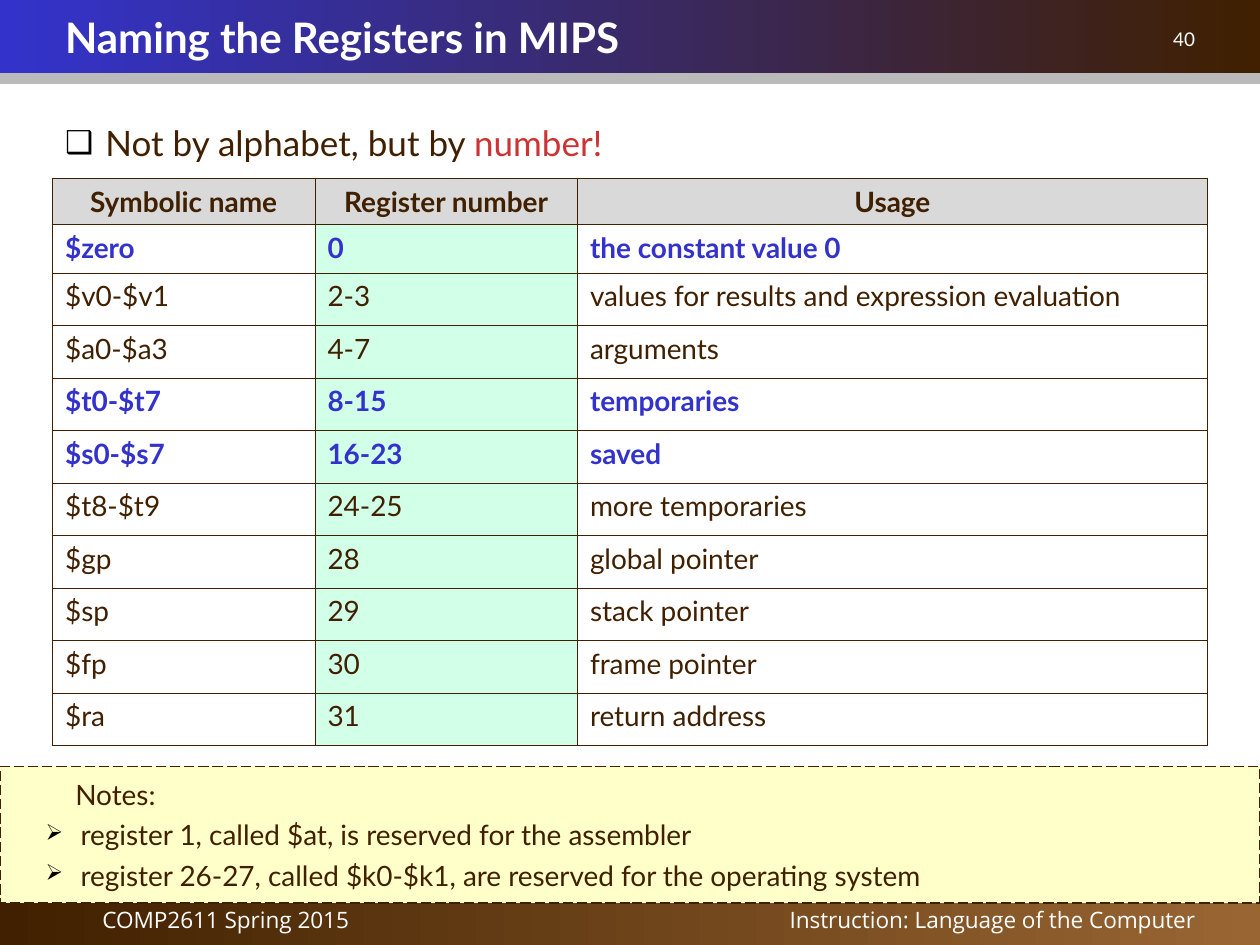
from lxml import etree
from pptx import Presentation
from pptx.dml.color import RGBColor
from pptx.enum.dml import MSO_LINE
from pptx.enum.shapes import MSO_SHAPE
from pptx.enum.text import MSO_ANCHOR, MSO_AUTO_SIZE, PP_ALIGN
from pptx.oxml.ns import qn
from pptx.util import Pt

LEFT, CENTER, RIGHT = PP_ALIGN.LEFT, PP_ALIGN.CENTER, PP_ALIGN.RIGHT
TOP, MIDDLE = MSO_ANCHOR.TOP, MSO_ANCHOR.MIDDLE
RECTANGLE = MSO_SHAPE.RECTANGLE
LONG_DASH = MSO_LINE.LONG_DASH

BROWN = RGBColor(0x40, 0x20, 0x00)
TAN = RGBColor(0x99, 0x66, 0x33)
BLUE = RGBColor(0x33, 0x33, 0xCC)
RED = RGBColor(0xCD, 0x33, 0x33)
WHITE = RGBColor(0xFF, 0xFF, 0xFF)
BLACK = RGBColor(0x00, 0x00, 0x00)
GRAY = RGBColor(0xD9, 0xD9, 0xD9)
SHADOW_GRAY = RGBColor(0x77, 0x77, 0x77)
MINT = RGBColor(0xD1, 0xFF, 0xE8)
YELLOW = RGBColor(0xFF, 0xFF, 0x99)

SLIDE_WIDTH, SLIDE_HEIGHT = 720, 540
MARGIN = 30
CONTENT_WIDTH = SLIDE_WIDTH - 2 * MARGIN
TITLE_HEIGHT = 42
FOOTER_TOP, FOOTER_HEIGHT = 516, 24
INNER_BORDER, OUTER_BORDER = 0.45, 1.08

HEADERS = ("Symbolic name", "Register number", "Usage")
REGISTERS = (
    ("$zero", "0", "the constant value 0"),
    ("$v0-$v1", "2-3", "values for results and expression evaluation"),
    ("$a0-$a3", "4-7", "arguments"),
    ("$t0-$t7", "8-15", "temporaries"),
    ("$s0-$s7", "16-23", "saved"),
    ("$t8-$t9", "24-25", "more temporaries"),
    ("$gp", "28", "global pointer"),
    ("$sp", "29", "stack pointer"),
    ("$fp", "30", "frame pointer"),
    ("$ra", "31", "return address"),
)
HIGHLIGHTED = {"$zero", "$t0-$t7", "$s0-$s7"}
COLUMN_WIDTHS = (150, 150, 360)
ROW_HEIGHTS = (26.4, 27.6) + (30,) * 9
NOTES = (
    "register 1, called $at, is reserved for the assembler",
    "register 26-27, called $k0-$k1, are reserved for the operating system",
)


def add_element(parent, tag, **attributes):
    element = etree.SubElement(parent, qn(tag))
    for name, value in attributes.items():
        element.set(name, str(value))
    return element


def add_color(parent, color, alpha=None):
    rgb = add_element(parent, "a:srgbClr", val=color)
    if alpha is not None:
        add_element(rgb, "a:alpha", val=alpha * 1000)


def set_font(paragraph, size, color, bold=False, name="Lato"):
    font = paragraph.font
    font.name, font.size, font.bold = name, Pt(size), bold
    font.color.rgb = color


def set_bullet(paragraph, character, percent, margin, indent):
    properties = paragraph._p.get_or_add_pPr()
    properties.set("marL", str(Pt(margin)))
    properties.set("indent", str(Pt(indent)))
    add_color(add_element(properties, "a:buClr"), BLACK)
    add_element(properties, "a:buSzPct", val=percent * 1000)
    add_element(properties, "a:buChar", char=character)


def add_rectangle(slide, top, height):
    shape = slide.shapes.add_shape(RECTANGLE, 0, Pt(top), Pt(SLIDE_WIDTH), Pt(height))
    shape.shadow.inherit = False
    return shape


def add_gradient_bar(slide, top, height, colors):
    bar = add_rectangle(slide, top, height)
    bar.line.fill.background()
    bar.fill.gradient()
    bar.fill.gradient_angle = 0
    for stop, color in zip(bar.fill.gradient_stops, colors):
        stop.color.rgb = color
    return bar


def add_drop_shadow(shape, distance):
    effects = shape._element.spPr.find(qn("a:effectLst"))
    shadow = add_element(effects, "a:outerShdw", dist=Pt(distance), dir=90 * 60000)
    add_color(shadow, SHADOW_GRAY, alpha=50)


def add_label(slide, text, left, top, width, alignment, size, name, spacing=1.0):
    box = slide.shapes.add_textbox(Pt(left), Pt(top), Pt(width), Pt(FOOTER_HEIGHT))
    box.text_frame.word_wrap = True
    paragraph = box.text_frame.paragraphs[0]
    paragraph.text = text
    paragraph.alignment = alignment
    paragraph.line_spacing = spacing
    set_font(paragraph, size, WHITE, name=name)


def place_placeholder(slide, placeholder, top, height, anchor):
    """Move a placeholder, bring it to the front and return its first paragraph."""
    placeholder.left, placeholder.top = Pt(MARGIN), Pt(top)
    placeholder.width, placeholder.height = Pt(CONTENT_WIDTH), Pt(height)
    slide.shapes._spTree.append(placeholder._element)
    frame = placeholder.text_frame
    frame.auto_size = MSO_AUTO_SIZE.NONE
    frame.vertical_anchor = anchor
    paragraph = frame.paragraphs[0]
    paragraph.alignment = LEFT
    paragraph.space_before = Pt(0)
    return paragraph


def set_borders(cell, outer_sides):
    properties = cell._tc.get_or_add_tcPr()
    for side in "LRTB":
        width = OUTER_BORDER if side in outer_sides else INNER_BORDER
        line = add_element(properties, f"a:ln{side}", w=Pt(width))
        add_color(add_element(line, "a:solidFill"), BROWN)


def add_register_table(slide):
    rows = (HEADERS,) + REGISTERS
    last_row, last_column = len(rows) - 1, len(HEADERS) - 1
    table = slide.shapes.add_table(
        len(rows), len(HEADERS), Pt(MARGIN), Pt(102),
        Pt(CONTENT_WIDTH), Pt(sum(ROW_HEIGHTS))).table
    table.first_row = table.horz_banding = False
    for column, width in zip(table.columns, COLUMN_WIDTHS):
        column.width = Pt(width)
    for i, (values, height) in enumerate(zip(rows, ROW_HEIGHTS)):
        table.rows[i].height = Pt(height)
        is_header, is_highlighted = i == 0, values[0] in HIGHLIGHTED
        for j, value in enumerate(values):
            cell = table.cell(i, j)
            edges = {"T": is_header, "B": i == last_row,
                     "L": j == 0, "R": j == last_column}
            set_borders(cell, [side for side, outer in edges.items() if outer])
            if is_header or j == 1:
                cell.fill.solid()
                cell.fill.fore_color.rgb = GRAY if is_header else MINT
            else:
                cell.fill.background()
            paragraph = cell.text_frame.paragraphs[0]
            paragraph.text = value
            paragraph.alignment = CENTER if is_header else LEFT
            set_font(paragraph, 16, BLUE if is_highlighted else BROWN,
                     bold=is_header or is_highlighted)


def add_notes_box(slide):
    box = add_rectangle(slide, 438, 78)
    box.fill.solid()
    box.fill.fore_color.rgb = YELLOW
    add_element(box._element.spPr.find(".//" + qn("a:srgbClr")), "a:alpha", val=53000)
    box.line.color.rgb = BROWN
    box.line.width = Pt(0.75)
    box.line.dash_style = LONG_DASH
    frame = box.text_frame
    frame.vertical_anchor = MIDDLE
    heading = frame.paragraphs[0]
    heading.text = "Notes:"
    heading._p.get_or_add_pPr().set("marL", str(Pt(36)))
    for note in NOTES:
        paragraph = frame.add_paragraph()
        paragraph.text = note
        set_bullet(paragraph, "➢", 80, 39, -20)
        paragraph.space_before = Pt(4)
    for paragraph in frame.paragraphs:
        paragraph.alignment = LEFT
        set_font(paragraph, 16, BROWN)


def add_title_and_lead(slide):
    title, body = slide.placeholders
    paragraph = place_placeholder(slide, title, 0, TITLE_HEIGHT, MIDDLE)
    paragraph.text = "Naming the Registers in MIPS"
    set_font(paragraph, 24, WHITE, bold=True)

    paragraph = place_placeholder(slide, body, 66, 60, TOP)
    set_bullet(paragraph, "❑", 90, 23, -23)
    set_font(paragraph, 20, BROWN)
    paragraph.add_run().text = "Not by alphabet, but by "
    emphasis = paragraph.add_run()
    emphasis.text = "number!"
    emphasis.font.color.rgb = RED


def main():
    presentation = Presentation()
    presentation.slide_width, presentation.slide_height = Pt(SLIDE_WIDTH), Pt(SLIDE_HEIGHT)
    slide = presentation.slides.add_slide(presentation.slide_layouts[1])
    add_gradient_bar(slide, FOOTER_TOP, FOOTER_HEIGHT, (BROWN, TAN))
    title_bar = add_gradient_bar(slide, 0, TITLE_HEIGHT, (BLUE, BROWN))
    add_drop_shadow(title_bar, 6)
    add_label(slide, "COMP2611 Spring 2015", 18, FOOTER_TOP, 222, CENTER, 12.9, "Open Sans", 0.9)
    add_label(slide, "Instruction: Language of the Computer", 330, FOOTER_TOP, 360,
              RIGHT, 12.9, "Open Sans", 0.9)
    add_label(slide, "40", 540, 12, 150, RIGHT, 10.8, "Lato")
    add_register_table(slide)
    add_notes_box(slide)
    add_title_and_lead(slide)
    presentation.save("out.pptx")


if __name__ == "__main__":
    main()
